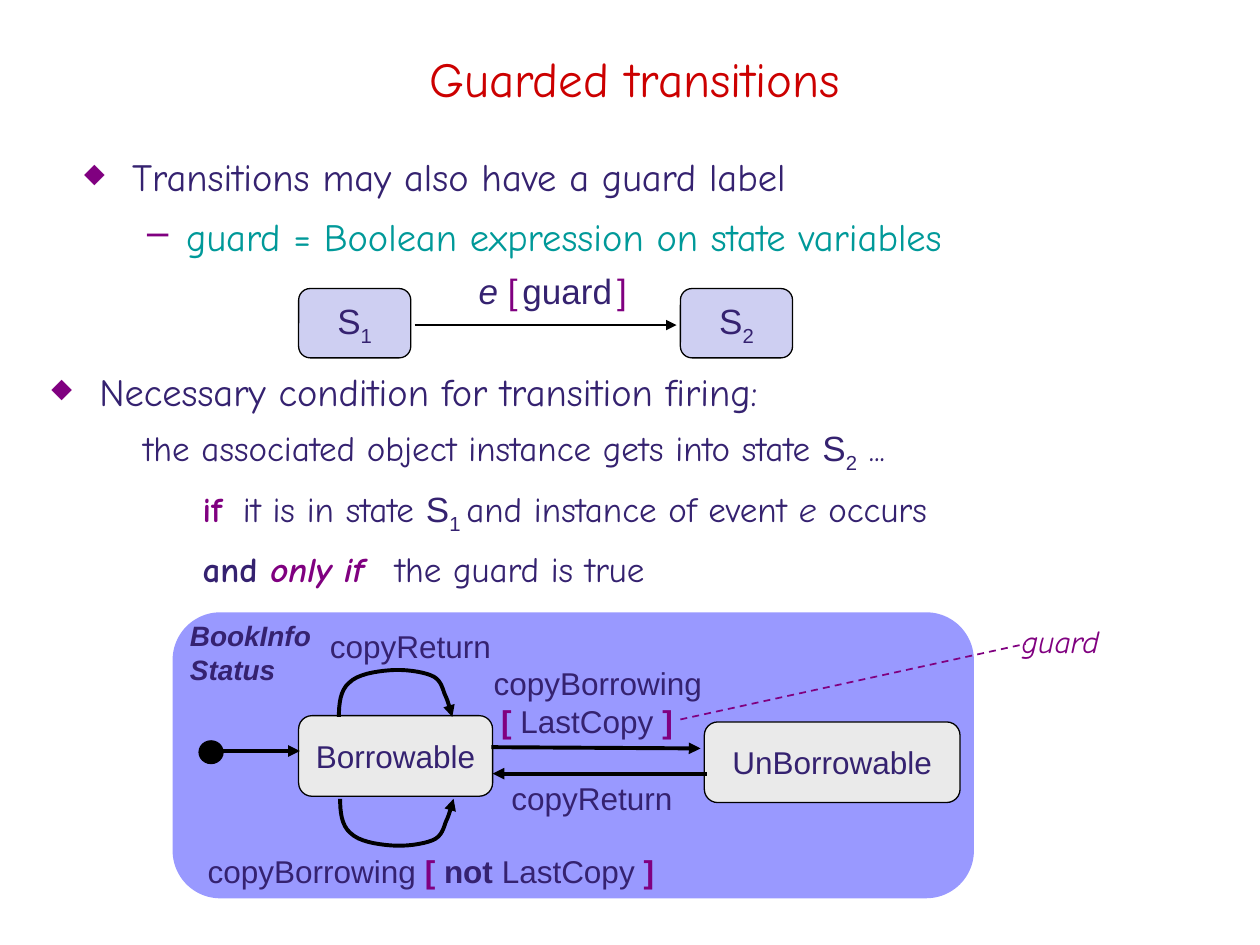
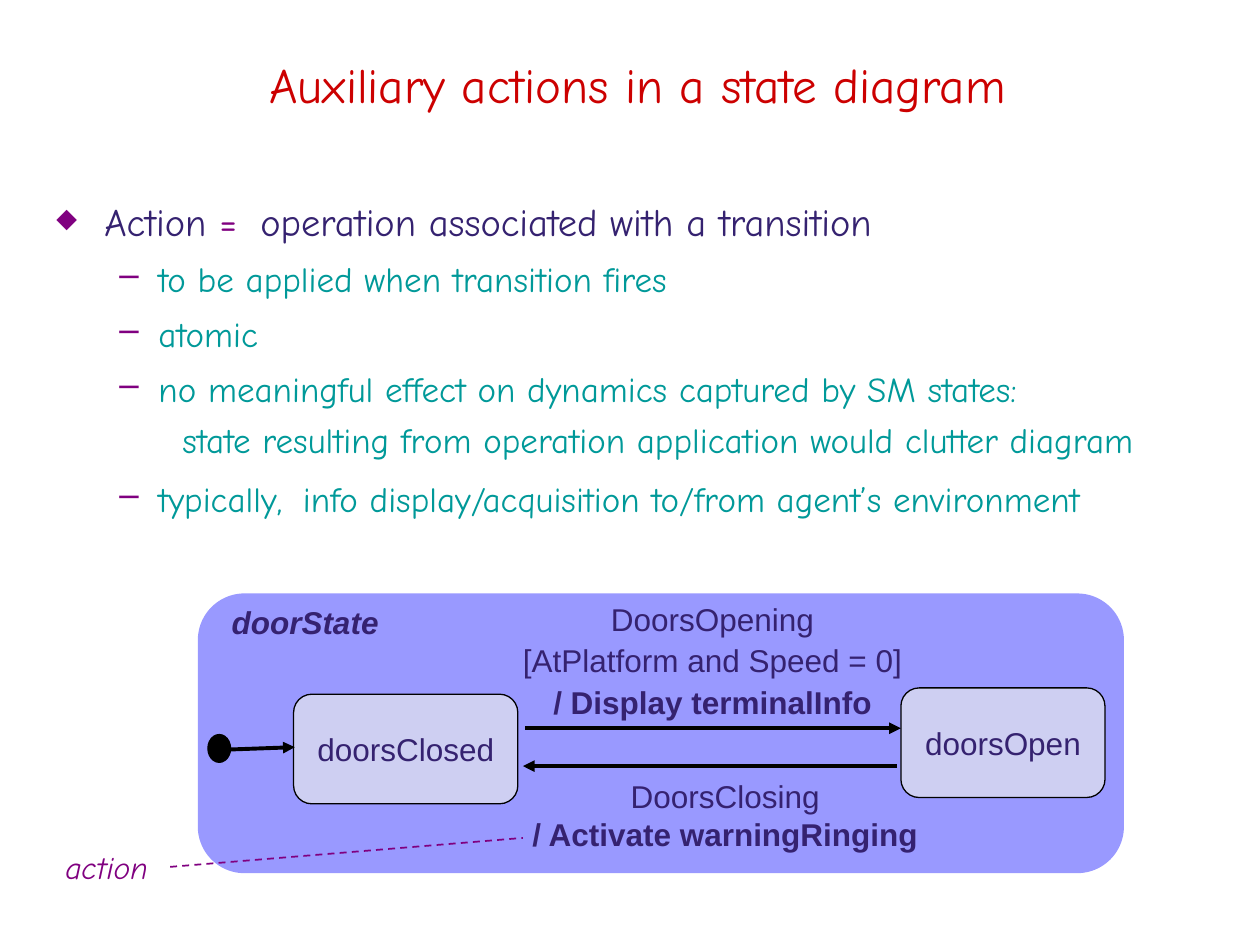
from lxml.etree import SubElement
from pptx import Presentation
from pptx.dml.color import RGBColor
from pptx.enum.dml import MSO_LINE_DASH_STYLE as Dash
from pptx.enum.shapes import MSO_CONNECTOR as Connector, MSO_SHAPE as Shape
from pptx.enum.text import MSO_ANCHOR as Anchor, PP_ALIGN as Align
from pptx.oxml.ns import qn
from pptx.util import Inches, Pt

INK, PURPLE, TEAL, RED, BLACK = "352270", "800080", "009999", "CC0000", "000000"
PANEL, LILAC, GREY = "9999FF", "CECFF2", "EAEAEA"
HAND, SANS = "Comic Neue", "Arial"
ACCENT = dict(color=PURPLE, bold=True)
DIAMOND = dict(bullet="◆", bullet_size=70, margin=0.38, indent=-0.38)
DASH = dict(bullet="–", margin=0.81, indent=-0.31, level=1, color=TEAL)
# Half of the self-transition loop: start point, then cubic segments, in inches
LOOP_START = (0, 0.38)
LOOP_CURVES = [
    [(0, 0.28), (0.01, 0.17), (0.08, 0.11)],
    [(0.15, 0.04), (0.29, 0.02), (0.4, 0.01)],
    [(0.51, 0), (0.66, 0.02), (0.73, 0.05)],
    [(0.81, 0.08), (0.82, 0.15), (0.84, 0.2)],
    [(0.87, 0.26), (0.88, 0.32), (0.9, 0.38)],
]


def rgb(code):
    return RGBColor.from_string(code)


def within(region, left, top, width=0, height=0):
    """Turn a box relative to a region into a box on the slide."""
    return region[0] + left, region[1] + top, width, height


def gap(extra):
    """A space widened by some points."""
    return " ", dict(extra=extra)


def add_bullet(para, char, size):
    props = para._p.get_or_add_pPr()
    SubElement(SubElement(props, qn("a:buClr")), qn("a:srgbClr"), val=PURPLE)
    SubElement(props, qn("a:buSzPct"), val=str(size * 1000))
    SubElement(props, qn("a:buChar"), char=char)


def add_span(para, text, size=18, font=SANS, color=INK, bold=False,
             italic=False, sub=False, extra=0):
    span = para.add_run()
    span.text = text
    span.font.size, span.font.name = Pt(size), font
    span.font.bold, span.font.italic = bold, italic
    span.font.color.rgb = rgb(color)
    if sub:
        span._r.get_or_add_rPr().set("baseline", "-25000")
    if extra:
        span._r.get_or_add_rPr().set("spc", str(extra * 100))


def write(frame, *spans, align=Align.LEFT, spacing=1.0, before=0, level=0,
          margin=0, indent=0, bullet=None, bullet_size=100, **style):
    """Add a paragraph; a span is a string or (string, overrides of style)."""
    para = frame.paragraphs[0]
    if para.runs:
        para = frame.add_paragraph()
    para.level = level
    props = para._p.get_or_add_pPr()
    props.set("marL", str(Inches(margin)))
    props.set("indent", str(Inches(indent)))
    if bullet:
        add_bullet(para, bullet, bullet_size)
    para.alignment, para.line_spacing = align, spacing
    para.space_before = Pt(before)
    for span in spans:
        text, changes = (span, {}) if isinstance(span, str) else span
        add_span(para, text, **{**style, **changes})


def add_box(slide, box, anchor=Anchor.TOP):
    frame = slide.shapes.add_textbox(*map(Inches, box)).text_frame
    frame.word_wrap, frame.vertical_anchor = True, anchor
    return frame


def add_label(slide, box, *spans, **style):
    write(add_box(slide, box), *spans, **style)


def add_figure(slide, kind, box, fill, outline=True):
    figure = slide.shapes.add_shape(kind, *map(Inches, box))
    figure.shadow.inherit = False
    figure.fill.solid()
    figure.fill.fore_color.rgb = rgb(fill)
    if outline:
        figure.line.color.rgb = rgb(BLACK)
        figure.line.width = Pt(0.75)
    else:
        figure.line.fill.background()
    return figure


def add_panel(slide, box):
    add_figure(slide, Shape.ROUNDED_RECTANGLE, box, PANEL, outline=False)


def add_state(slide, box, *spans, fill=LILAC, **style):
    frame = add_figure(slide, Shape.ROUNDED_RECTANGLE, box, fill).text_frame
    frame.word_wrap, frame.vertical_anchor = False, Anchor.MIDDLE
    write(frame, *spans, align=Align.CENTER, **style)


def add_start_dot(slide, box):
    add_figure(slide, Shape.OVAL, box, BLACK)


def format_line(line, width, color=BLACK, arrow=True):
    line.color.rgb, line.width = rgb(color), Pt(width)
    if arrow:
        SubElement(line._get_or_add_ln(), qn("a:tailEnd"), type="triangle")


def add_line(slide, region, start, end, width=2.25, color=BLACK, arrow=True):
    ends = within(region, *start)[:2] + within(region, *end)[:2]
    link = slide.shapes.add_connector(Connector.STRAIGHT, *map(Inches, ends))
    format_line(link.line, width, color, arrow)
    SubElement(link._element.spPr, qn("a:effectLst"))
    return link


def add_callout(slide, region, start, end):
    link = add_line(slide, region, start, end, 1, PURPLE, arrow=False)
    link.line.dash_style = Dash.DASH


def add_loop(slide, region, left, top, below=False, steps=8):
    """Draw a self-transition above a state, or mirrored below it."""
    points, last = [LOOP_START], LOOP_START
    for first, second, end in LOOP_CURVES:
        for step in range(1, steps + 1):
            t = step / steps
            weights = (1 - t) ** 3, 3 * t * (1 - t) ** 2, 3 * t * t * (1 - t), t ** 3
            corners = last, first, second, end
            points.append(tuple(sum(w * c[axis] for w, c in zip(weights, corners))
                                for axis in (0, 1)))
        last = end
    placed = [tuple(map(Inches, within(region, left + x, top + (0.38 - y if below else y))[:2]))
              for x, y in points]
    outline = slide.shapes.build_freeform(*placed[0])
    outline.add_line_segments(placed[1:], close=False)
    loop = outline.convert_to_shape()
    loop.shadow.inherit = False
    loop.fill.background()
    format_line(loop.line, 2.25)


def add_page(deck, title, box):
    page = deck.slides.add_slide(deck.slide_layouts[5])
    holder = page.shapes.title
    holder.left, holder.top, holder.width, holder.height = map(Inches, box)
    holder.text_frame.vertical_anchor = Anchor.MIDDLE
    write(holder.text_frame, title, align=Align.CENTER, size=28, font=HAND, color=RED)
    return page


def guard_notation(page, region):
    for left, number in ((0, "1"), (3.03, "2")):
        add_state(page, within(region, left, 0.2, 0.89, 0.55),
                  "S", (number, dict(sub=True)), size=20)
    add_line(page, region, (0.92, 0.49), (3, 0.49), width=1)
    add_label(page, within(region, 1.33, 0, 1.52, 0.52),
              ("e ", dict(italic=True)), ("[", dict(color=PURPLE)),
              (" ", dict(size=10)), "guard", (" ", dict(size=10)),
              ("]", dict(color=PURPLE)), size=20)


def guard_definition(page, box):
    frame = add_box(page, box, Anchor.MIDDLE)
    hand = dict(size=22, font=HAND)
    write(frame, "Transitions may also have a guard label", spacing=1.1, **hand, **DIAMOND)
    write(frame, "guard = Boolean expression on state variables", spacing=1.3, **hand, **DASH)


def firing_condition(page, box):
    frame = add_box(page, box, Anchor.MIDDLE)
    write(frame, "Necessary condition for transition firing:",
          size=22, font=HAND, spacing=1.1, **DIAMOND)
    state, number = dict(font=SANS), dict(font=SANS, sub=True)
    detail = dict(size=20, font=HAND, spacing=1.2, before=2)
    write(frame, "the associated object instance gets into state ",
          ("S", state), ("2", number), " ...", margin=0.73, **detail)
    write(frame, ("if", ACCENT), gap(5), "it is in state ", ("S", state), ("1 ", number),
          "and instance of event ", ("e", dict(italic=True)), " occurs",
          margin=1.2, **detail)
    write(frame, ("and ", dict(bold=True)), ("only if", dict(ACCENT, italic=True)),
          gap(11), "the guard is true", margin=1.2, **detail)


def book_diagram(page, panel):
    add_panel(page, panel)
    transition = add_box(page, within(panel, 2.45, 0.36, 1.94, 0.69))
    write(transition, "copyBorrowing")
    write(transition, ("[ ", ACCENT), "LastCopy ", ("]", ACCENT), margin=0.06)
    add_state(page, within(panel, 1, 0.82, 1.54, 0.64), "Borrowable", fill=GREY)
    add_state(page, within(panel, 4.22, 0.87, 2.03, 0.64), "UnBorrowable", fill=GREY)
    add_line(page, panel, (0.34, 1.1), (1.01, 1.1))
    add_line(page, panel, (4.24, 1.28), (2.54, 1.28))
    add_line(page, panel, (2.53, 1.07), (4.19, 1.08))
    add_start_dot(page, within(panel, 0.21, 1.02, 0.19, 0.18))
    add_loop(page, panel, 1.32, 0.45)
    add_loop(page, panel, 1.33, 1.48, below=True)
    for left, top in ((2.59, 1.27), (1.15, 0.07)):
        add_label(page, within(panel, left, top, 1.69, 0.36), "copyReturn")
    add_label(page, within(panel, 0.18, 1.85, 3.89, 0.44), "copyBorrowing ",
              ("[ ", ACCENT), ("not ", dict(bold=True)), "LastCopy ", ("]", ACCENT))
    name = add_box(page, within(panel, 0.04, 0, 1.3, 0.61))
    for word in ("BookInfo", "Status"):
        write(name, word, size=16, bold=True, italic=True)
    add_label(page, within(panel, 6.64, 0.03, 1.03, 0.35), "guard",
              font=HAND, color=PURPLE, italic=True)
    add_callout(page, panel, (4.03, 0.85), (6.77, 0.25))


def action_definition(page, box):
    frame = add_box(page, box, Anchor.MIDDLE)
    write(frame, "Action ", ("=", dict(color=PURPLE)), gap(6),
          "operation associated with a transition",
          size=22, font=HAND, spacing=1.1, **DIAMOND)
    detail = dict(size=20, font=HAND, before=5)
    for text in ("to be applied when transition fires", "atomic",
                 "no meaningful effect on dynamics captured by SM states:"):
        write(frame, text, spacing=1.1, **detail, **DASH)
    write(frame, "state resulting from operation application would clutter diagram",
          level=2, margin=1, color=TEAL, **detail)
    write(frame, "typically,", gap(5),
          "info display/acquisition to/from agent’s environment",
          spacing=1.2, **detail, **DASH)


def door_diagram(page, panel):
    add_panel(page, panel)
    opening = add_box(page, within(panel, 2.39, 0, 3.39, 1.08))
    write(opening, "DoorsOpening", align=Align.CENTER)
    write(opening, "[AtPlatform and Speed = 0]", align=Align.CENTER, spacing=1.1)
    write(opening, "/ Display terminalInfo", align=Align.CENTER, spacing=1.1, bold=True)
    add_state(page, within(panel, 0.76, 0.8, 1.78, 0.87), "doorsClosed")
    add_state(page, within(panel, 5.58, 0.75, 1.62, 0.87), "doorsOpen")
    add_line(page, panel, (0.21, 1.24), (0.77, 1.22))
    add_line(page, panel, (5.55, 1.37), (2.58, 1.37))
    add_line(page, panel, (2.6, 1.07), (5.58, 1.07))
    closing = add_box(page, within(panel, 2.54, 1.41, 3.29, 0.72))
    write(closing, "DoorsClosing", align=Align.CENTER)
    write(closing, "/ Activate warningRinging", align=Align.CENTER, bold=True)
    add_start_dot(page, within(panel, 0.08, 1.12, 0.18, 0.22))
    add_label(page, within(panel, -1.15, 1.97, 0.98, 0.36), "action",
              font=HAND, color=PURPLE, italic=True)
    add_callout(page, panel, (-0.22, 2.17), (2.58, 1.94))
    add_label(page, within(panel, 0.17, 0.03, 1.55, 0.36), "doorState",
              bold=True, italic=True)


def main():
    deck = Presentation()
    deck.slide_width, deck.slide_height = Inches(10), Inches(7.5)

    guards = add_page(deck, "Guarded transitions", (0.31, 0.2, 9.46, 0.83))
    guard_notation(guards, (2.37, 2.09))
    firing_condition(guards, (0.31, 2.99, 7.82, 1.58))
    guard_definition(guards, (0.57, 1.05, 7.57, 1.14))
    book_diagram(guards, (1.37, 4.86, 6.36, 2.27))

    actions = add_page(deck, "Auxiliary actions in a state diagram", (0.33, 0.25, 9.46, 0.83))
    action_definition(actions, (0.35, 1.36, 9.57, 2.94))
    door_diagram(actions, (1.57, 4.71, 7.35, 2.22))

    deck.save("out.pptx")


if __name__ == "__main__":
    main()
